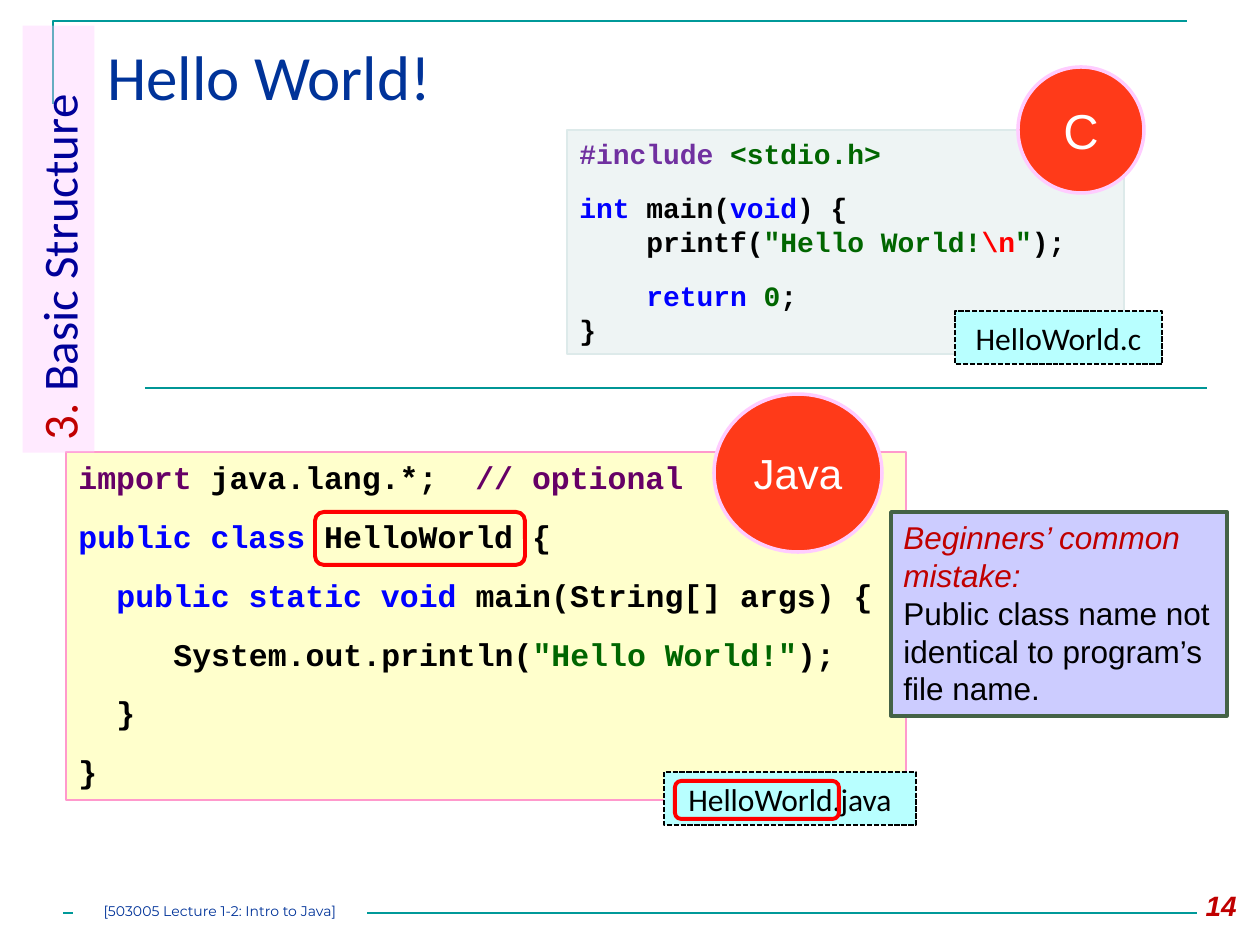
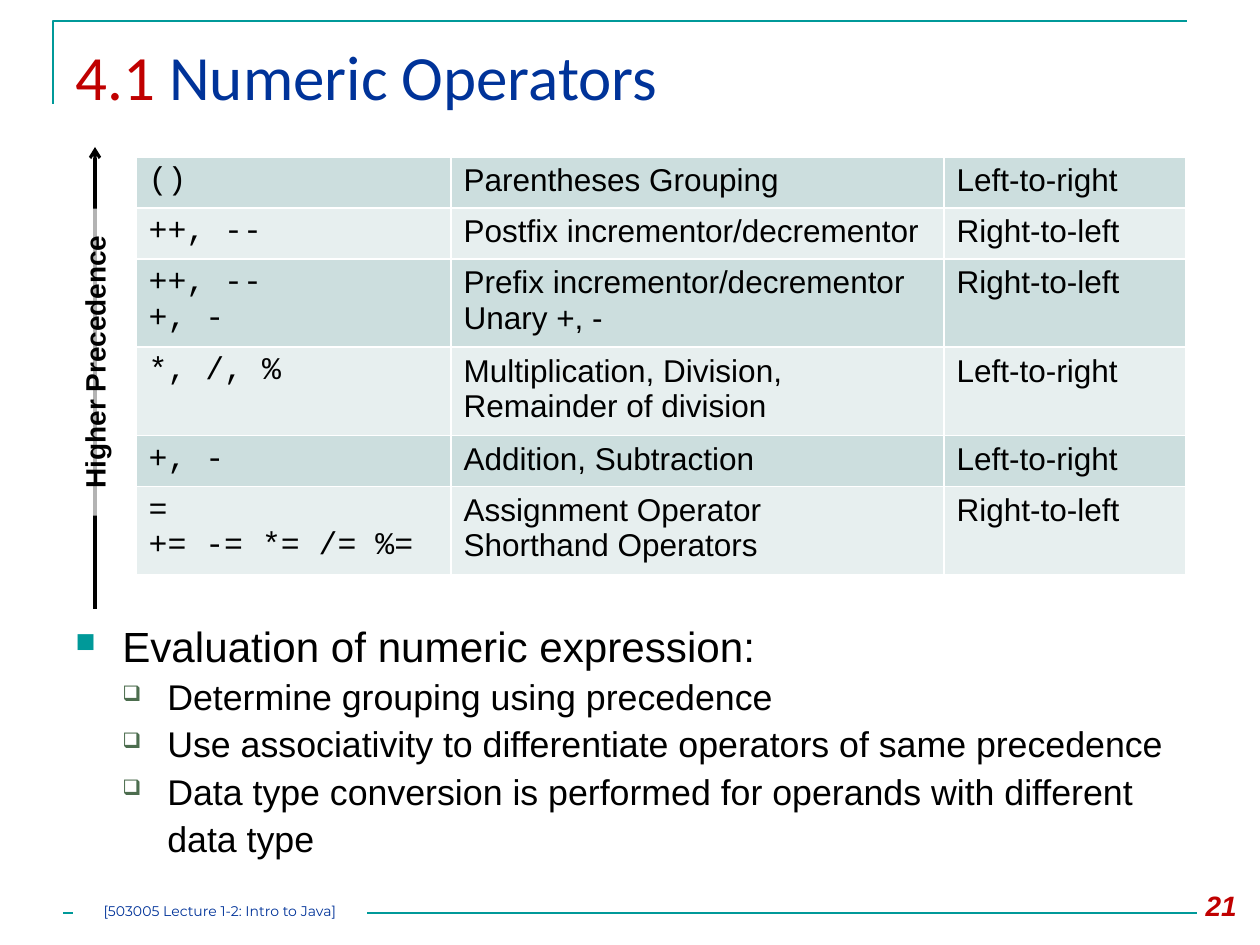
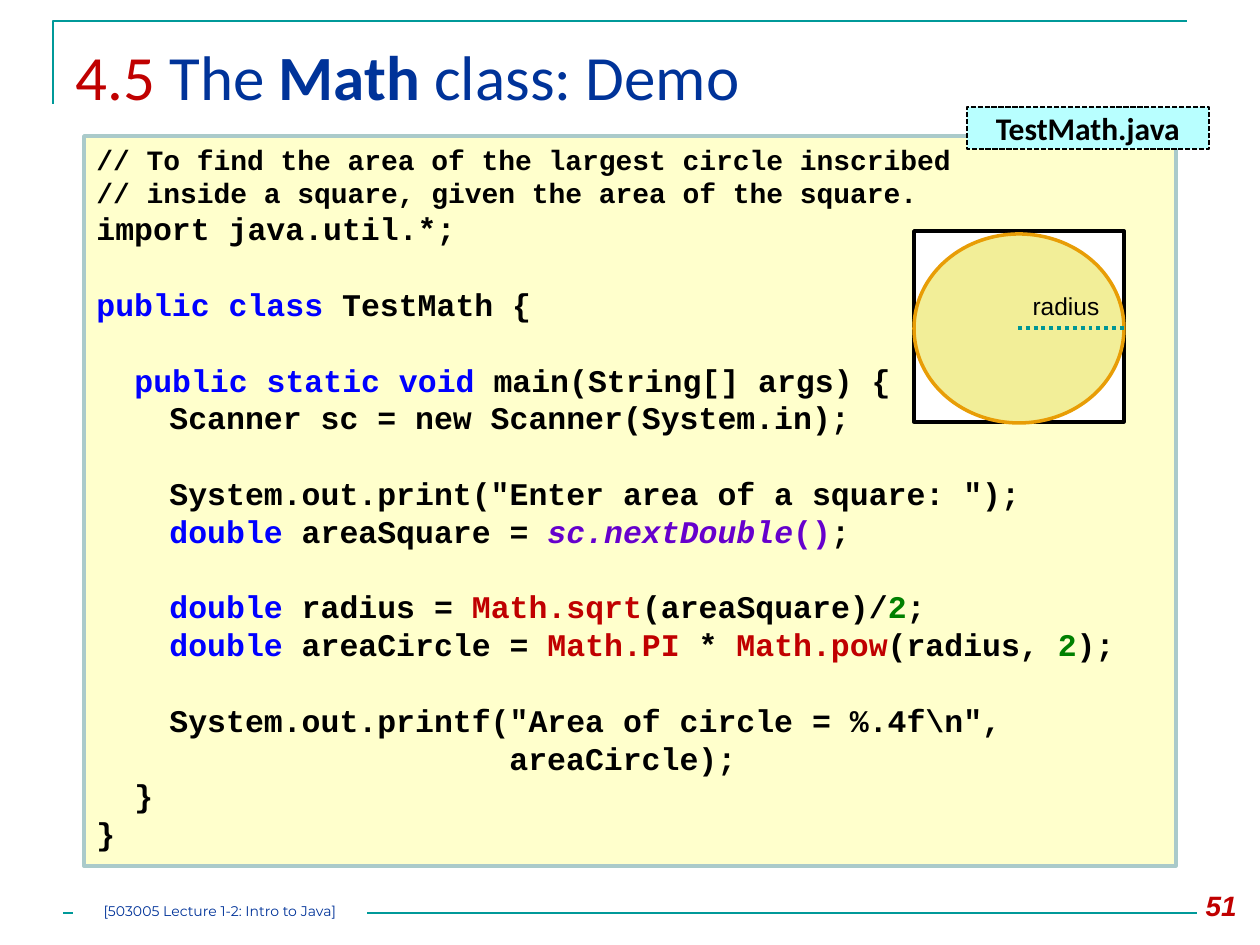
import lxml.etree
import pptx
import pptx.dml.color
import pptx.enum.dml
import pptx.enum.shapes
import pptx.enum.text
import pptx.oxml.ns
import pptx.util

EMU_PER_PX = 914400 / 126
COLORS = {
    "black": "000000", "white": "FFFFFF", "teal": "009999", "rule": "009696",
    "navy": "003399", "section": "000099", "crimson": "C00000", "red": "FF0000",
    "keyword": "0000FF", "import": "660066", "string": "006600", "include": "7030A0",
    "call": "6600CC", "number": "008000", "code": "FFFFCC", "pink": "FF99CC",
    "code_edge": "AACACA", "c_code": "EEF4F4", "c_edge": "DDEAEA", "file": "B8FFFF",
    "badge": "FF3A19", "blush": "FFCCFF", "note": "CCCCFF", "note_edge": "446246",
    "circle": "F2EE98", "circle_edge": "E89D06", "row_dark": "CCDEDE",
    "row_light": "E7EFEF", "sub_bullet": "4C6D4E",
}
CODE = {"font": "Courier New", "size": 18, "bold": True}
RECTANGLE = pptx.enum.shapes.MSO_SHAPE.RECTANGLE
ROUNDED = pptx.enum.shapes.MSO_SHAPE.ROUNDED_RECTANGLE
OVAL = pptx.enum.shapes.MSO_SHAPE.OVAL
DASH = pptx.enum.dml.MSO_LINE.SQUARE_DOT
DOT = pptx.enum.dml.MSO_LINE.ROUND_DOT
CENTER = pptx.enum.text.PP_ALIGN.CENTER
RIGHT = pptx.enum.text.PP_ALIGN.RIGHT
TOP = pptx.enum.text.MSO_ANCHOR.TOP
MIDDLE = pptx.enum.text.MSO_ANCHOR.MIDDLE

# ---- Content ----
# A run is a string or (text, colour, format changes).
# A code line is (indent in px, space before in points, runs).
FOOTER = "[503005 Lecture 1-2: Intro to Java]"

JAVA_HELLO = [
    (0, 0, [("import ", "import"), "java.lang.*;  ", ("// optional", "import")]),
    (0, 12, [("public class ", "keyword"), "HelloWorld {"]),
    (38, 12, [("public static void ", "keyword"), "main(String[] args) {"]),
    (95, 12, ["System.out.println(", ('"Hello World!"', "string"), ");"]),
    (38, 12, ["}"]),
    (0, 12, ["}"]),
]
C_HELLO = [
    (0, 0, [("#include ", "include"), ("<stdio.h>", "string")]),
    (0, 12, [("int", "keyword"), " main(", ("void", "keyword"), ") {"]),
    (67, 0, ["printf(", ('"Hello World!', "string"), ("\\n", "red"), ('"', "string"), ");"]),
    (67, 12, [("return ", "keyword"), ("0", "string"), ";"]),
    (0, 0, ["}"]),
]
MISTAKE = [
    [("Beginners’ common mistake:", "crimson", {"italic": True})],
    ["Public class name not identical to program’s file name."],
]

OPERATORS = [
    (["()"], ["Parentheses Grouping"], ["Left-to-right"]),
    (["++, --"], ["Postfix incrementor/decrementor"], ["Right-to-left"]),
    (["++, --", "+, -"], ["Prefix incrementor/decrementor", "Unary +, -"], ["Right-to-left"]),
    (["*, /, %"], ["Multiplication, Division, Remainder of division"], ["Left-to-right"]),
    (["+, -"], ["Addition, Subtraction"], ["Left-to-right"]),
    (["=", "+= -= *= /= %="], ["Assignment Operator", "Shorthand Operators"], ["Right-to-left"]),
]
OPERATOR_COLUMNS = [315, 493, 242]
OPERATOR_ROWS = [51, 51, 84, 84, 51, 84]
EVALUATION = "Evaluation of numeric expression:"
EVALUATION_STEPS = [
    "Determine grouping using precedence",
    "Use associativity to differentiate operators of same precedence",
    "Data type conversion is performed for operands with different data type",
]

BLANK = 21.6
IN_CLASS, IN_MAIN, ARGUMENT = 38, 73, 413
SMALL = {"size": 16}
DOUBLE = ("double", "keyword")
MATH_DEMO = [
    (0, 0, [("// To find the area of the largest circle inscribed", "black", SMALL)]),
    (0, 0, [("// inside a square, given the area of the square.", "black", SMALL)]),
    (0, 0, ["import java.util.*;"]),
    (0, BLANK, [("public class ", "keyword"), "TestMath {"]),
    (IN_CLASS, BLANK, [("public static void ", "keyword"), "main(String[] args) {"]),
    (IN_MAIN, 0, ["Scanner sc = new Scanner(System.in);"]),
    (IN_MAIN, BLANK, ['System.out.print("Enter area of a square: ");']),
    (IN_MAIN, 0, [DOUBLE, " areaSquare = ", ("sc.nextDouble", "call", {"italic": True}),
                  ("()", "call"), ";"]),
    (IN_MAIN, BLANK, [DOUBLE, " radius = ", ("Math.sqrt", "crimson"), "(areaSquare)/",
                      ("2", "number"), ";"]),
    (IN_MAIN, 0, [DOUBLE, " areaCircle = ", ("Math.PI", "crimson"), " * ",
                  ("Math.pow", "crimson"), "(radius, ", ("2", "number"), ");"]),
    (IN_MAIN, BLANK, ['System.out.printf("Area of circle = %.4f\\n",']),
    (ARGUMENT, 0, ["areaCircle);"]),
    (IN_CLASS, 0, ["}"]),
    (0, 0, ["}"]),
]


# ---- Helpers ----
def px(length):
    return pptx.util.Emu(round(length * EMU_PER_PX))


def rgb(name):
    return pptx.dml.color.RGBColor.from_string(COLORS[name])


def add_xml(parent, tag, **attributes):
    element = lxml.etree.SubElement(parent, pptx.oxml.ns.qn(tag))
    for name, value in attributes.items():
        element.set(name, str(value))
    return element


def write_runs(paragraph, runs, size=18, font="Arial", color="black", bold=False,
               italic=False, align=None):
    """Fill one paragraph; a run may change the colour and any other format."""
    paragraph.alignment = align
    for item in runs:
        text, run_color, changes = (
            (item, color, {}) if isinstance(item, str) else (*item, {})[:3])
        style = {"size": size, "bold": bold, "italic": italic, **changes}
        run = paragraph.add_run()
        run.text = text
        run.font.name = font
        run.font.size = pptx.util.Pt(style["size"])
        run.font.bold = style["bold"]
        run.font.italic = style["italic"]
        run.font.color.rgb = rgb(run_color)


def write(frame, lines, anchor=TOP, inset=None, **style):
    """Write one paragraph for each list of runs."""
    frame.word_wrap = True
    frame.vertical_anchor = anchor
    if inset is not None:
        frame.margin_left = frame.margin_right = px(inset)
        frame.margin_top = frame.margin_bottom = px(inset)
    for index, runs in enumerate(lines):
        paragraph = frame.add_paragraph() if index else frame.paragraphs[0]
        write_runs(paragraph, runs, **style)


def write_code(frame, code, **style):
    write(frame, [runs for _, _, runs in code], **{**CODE, **style})
    for paragraph, (indent, gap, _) in zip(frame.paragraphs, code):
        paragraph.space_before = pptx.util.Pt(gap)
        paragraph._p.get_or_add_pPr().set("marL", str(px(indent)))


def set_line(line, color, width, dash=None):
    line.color.rgb = rgb(color)
    line.width = pptx.util.Pt(width)
    if dash is not None:
        line.dash_style = dash


def add_box(slide, box, kind=RECTANGLE, fill=None, opacity=100, edge=None, rotation=0):
    shape = slide.shapes.add_shape(kind, *map(px, box))
    shape.shadow.inherit = False
    shape.rotation = rotation
    if fill:
        shape.fill.solid()
        shape.fill.fore_color.rgb = rgb(fill)
        if opacity < 100:
            color = next(shape._element.spPr.iter(pptx.oxml.ns.qn("a:srgbClr")))
            add_xml(color, "a:alpha", val=opacity * 1000)
    else:
        shape.fill.background()
    if edge:
        set_line(shape.line, *edge)
    else:
        shape.line.fill.background()
    return shape


def add_text(slide, box, lines, **style):
    write(slide.shapes.add_textbox(*map(px, box)).text_frame, lines, **style)


def add_line(slide, start, end, color, width, dash=None, arrow=False):
    line = slide.shapes.add_connector(
        pptx.enum.shapes.MSO_CONNECTOR.STRAIGHT, *map(px, start + end))
    set_line(line.line, color, width, dash)
    if arrow:
        add_xml(line.line._get_or_add_ln(), "a:tailEnd", type="arrow")
    add_xml(line._element.spPr, "a:effectLst")


def add_file_label(slide, box, name, bold=False):
    shape = add_box(slide, box, fill="file", edge=("black", 1, DASH))
    write(shape.text_frame, [[name]], anchor=MIDDLE, font="Calibri", bold=bold, align=CENTER)


def add_badge(slide, box, language, size):
    shape = add_box(slide, box, OVAL, "badge", edge=("blush", 2))
    write(shape.text_frame, [[language]], anchor=MIDDLE, size=size, color="white", align=CENTER)


def add_bullet(paragraph, symbol, color, percent, left, hanging):
    properties = paragraph._p.get_or_add_pPr()
    properties.set("marL", str(px(left)))
    properties.set("indent", str(-px(hanging)))
    add_xml(add_xml(properties, "a:buClr"), "a:srgbClr", val=COLORS[color])
    add_xml(properties, "a:buSzPct", val=percent * 1000)
    add_xml(properties, "a:buChar", char=symbol)


def start_slide(presentation, title, number, title_left=63):
    """Add a slide with the corner frame, title, footer and page number."""
    slide = presentation.slides.add_slide(presentation.slide_layouts[6])
    builder = slide.shapes.build_freeform(53, 104, scale=EMU_PER_PX)
    builder.add_line_segments([(53, 21), (1187, 21)], close=False)
    corner = builder.convert_to_shape()
    corner.shadow.inherit = False
    corner.fill.background()
    set_line(corner.line, "teal", 1.5)
    add_line(slide, (63, 913), (1197, 913), "teal", 1.5)
    footer = add_box(slide, (73, 903, 294, 21), fill="white")
    write(footer.text_frame, [[FOOTER]], inset=0, size=8, font="Montserrat",
          color="navy", align=CENTER)
    add_text(slide, (title_left, 31, 1197 - title_left, 108), [title],
             size=36, font="Calibri", color="navy")
    add_text(slide, (1165, 882, 84, 50), [[number]], size=16, color="crimson",
             bold=True, italic=True, align=RIGHT)
    return slide


# ---- Slides ----
def build_hello_world(presentation):
    slide = start_slide(presentation, ["Hello World!"], "14", title_left=95)

    # Java program
    java = add_box(slide, (66, 452, 840, 348), fill="code", edge=("pink", 0.75))
    write_code(java.text_frame, JAVA_HELLO)
    add_file_label(slide, (664, 772, 252, 53), "HelloWorld.java")
    add_badge(slide, (714, 394, 168, 158), "Java", 24)
    add_line(slide, (145, 388), (1207, 388), "rule", 0.75)
    for highlight in [(315, 512, 210, 53), (675, 781, 164, 38)]:
        add_box(slide, highlight, ROUNDED, edge=("red", 2.25))

    # Section tab
    section = add_box(slide, (-155, 203, 427, 72), fill="blush", opacity=40, rotation=270)
    write(section.text_frame, [[("3.", "crimson"), " Basic Structure"]],
          size=28, font="Calibri", color="section")

    # C program
    c_program = add_box(slide, (567, 130, 557, 224), fill="c_code", edge=("c_edge", 0.75))
    write_code(c_program.text_frame, C_HELLO, size=16)
    add_file_label(slide, (955, 311, 207, 53), "HelloWorld.c")
    add_badge(slide, (1018, 67, 126, 126), "C", 28)

    # Warning
    note = add_box(slide, (891, 512, 336, 204), fill="note", edge=("note_edge", 2))
    write(note.text_frame, MISTAKE)


def add_operator_table(slide):
    table = slide.shapes.add_table(
        len(OPERATOR_ROWS), len(OPERATOR_COLUMNS), px(136), px(157),
        px(sum(OPERATOR_COLUMNS)), px(sum(OPERATOR_ROWS))).table
    for column, width in zip(table.columns, OPERATOR_COLUMNS):
        column.width = px(width)
    for row_index, (row, height) in enumerate(zip(OPERATORS, OPERATOR_ROWS)):
        table.rows[row_index].height = px(height)
        for column_index, lines in enumerate(row):
            cell = table.cell(row_index, column_index)
            write(cell.text_frame, [[line] for line in lines],
                  font="Arial" if column_index else "Courier New")
            properties = cell._tc.get_or_add_tcPr()
            for side in ("a:lnL", "a:lnR", "a:lnT", "a:lnB"):
                border = add_xml(properties, side, w=pptx.util.Pt(1))
                add_xml(add_xml(border, "a:solidFill"), "a:srgbClr", val=COLORS["white"])
            cell.fill.solid()
            cell.fill.fore_color.rgb = rgb("row_light" if row_index % 2 else "row_dark")


def build_numeric_operators(presentation):
    slide = start_slide(presentation, [("4.1", "crimson"), " Numeric Operators"], "21")
    add_operator_table(slide)

    # Precedence arrow
    add_line(slide, (95, 609), (95, 147), "black", 1.75, arrow=True)
    label = add_box(slide, (-59, 320, 307, 84), fill="white", opacity=70, rotation=270)
    write(label.text_frame, [["Higher Precedence"]], anchor=MIDDLE, size=16,
          bold=True, align=CENTER)

    # Evaluation rules
    frame = slide.shapes.add_textbox(px(63), px(609), px(1134), px(294)).text_frame
    write(frame, [[EVALUATION]], size=24.1)
    heading = frame.paragraphs[0]
    heading.line_spacing = 1.1
    heading.space_before = pptx.util.Pt(4.8)
    add_bullet(heading, "■", "teal", 65, 47, 47)
    for step in EVALUATION_STEPS:
        paragraph = frame.add_paragraph()
        write_runs(paragraph, [step], size=20.4)
        paragraph.line_spacing = 1.1
        add_bullet(paragraph, "❑", "sub_bullet", 60, 92, 45)


def build_math_demo(presentation):
    title = [("4.5 ", "crimson"), "The ", ("Math", "navy", {"bold": True}), " class: Demo"]
    slide = start_slide(presentation, title, "51")
    program = add_box(slide, (84, 136, 1092, 730), fill="code", edge=("code_edge", 2))
    write_code(program.text_frame, MATH_DEMO)
    add_file_label(slide, (967, 107, 242, 42), "TestMath.java", bold=True)

    # Circle inscribed in a square
    add_box(slide, (914, 231, 210, 191), fill="white", edge=("black", 2))
    add_box(slide, (914, 234, 210, 189), OVAL, "circle", edge=("circle_edge", 2))
    add_line(slide, (1018, 328), (1124, 328), "rule", 2.25, DOT)
    add_text(slide, (1008, 285, 116, 43), [["radius"]], size=14, align=CENTER)


def main():
    presentation = pptx.Presentation()
    presentation.slide_width = px(1260)
    presentation.slide_height = px(945)
    build_hello_world(presentation)
    build_numeric_operators(presentation)
    build_math_demo(presentation)
    presentation.save("out.pptx")


if __name__ == "__main__":
    main()
